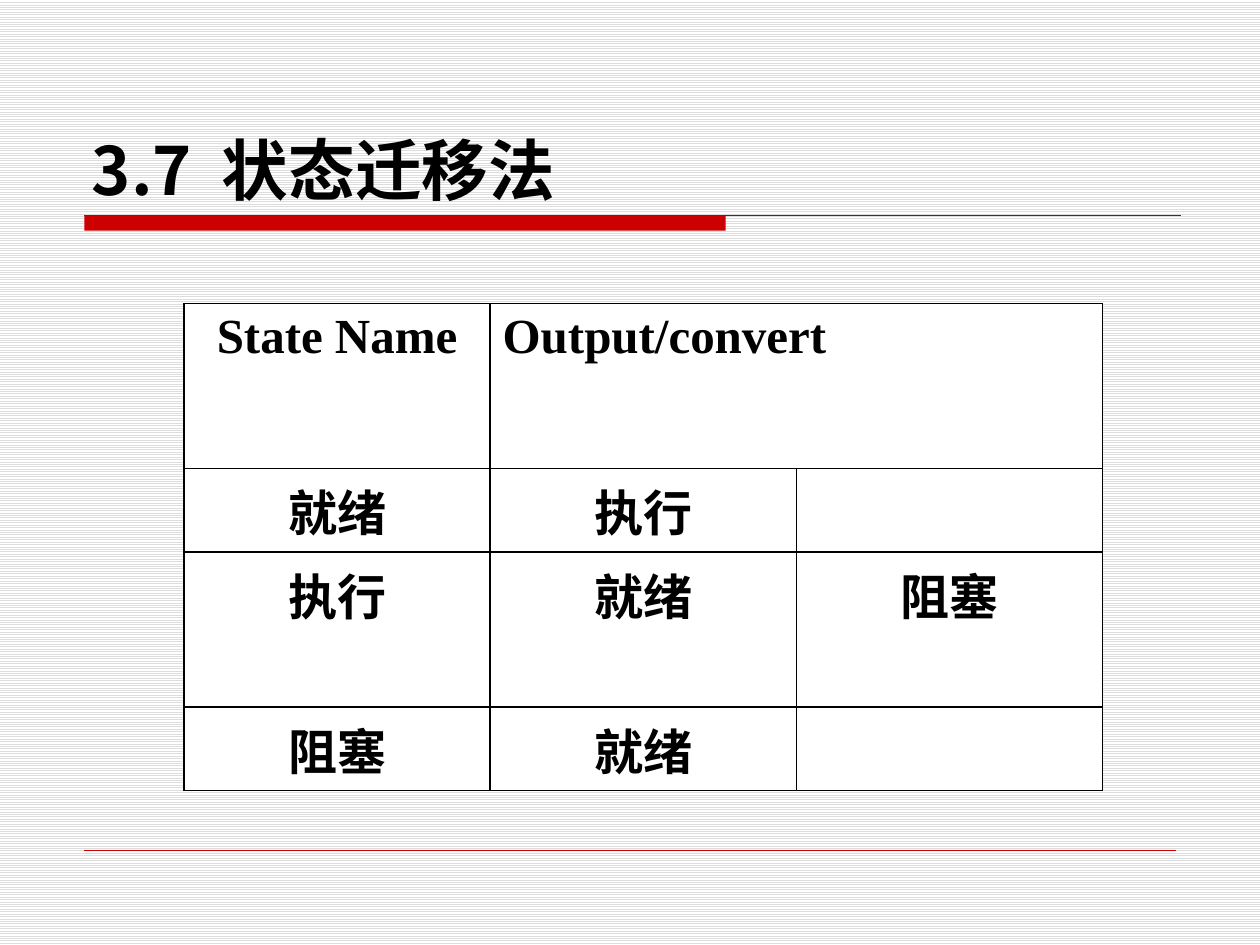
from dataclasses import dataclass

import pptx
import pptx.dml.color
import pptx.enum.dml
import pptx.enum.shapes
import pptx.enum.text
import pptx.oxml
import pptx.oxml.ns
import pptx.util

Inches = pptx.util.Inches
Pt = pptx.util.Pt
RGBColor = pptx.dml.color.RGBColor
Align = pptx.enum.text.PP_ALIGN

BLACK = RGBColor(0x00, 0x00, 0x00)
WHITE = RGBColor(0xFF, 0xFF, 0xFF)
RED = RGBColor(0xCC, 0x00, 0x00)
STRIPE = RGBColor(0xDD, 0xDD, 0xDD)
RULE_GREY = RGBColor(0x33, 0x33, 0x33)

SANS = "Noto Sans CJK SC"
SERIF = "Times New Roman"
NS = pptx.oxml.ns.nsdecls("a")

COLUMN_WIDTH = 2.43
ROW_HEIGHTS = (1.31, 0.66, 1.23, 0.66)


@dataclass
class Rule:
    left: float
    right: float
    y: float
    color: RGBColor
    width: float


@dataclass
class Cell:
    row: int
    col: int
    text: str
    font: str = SANS
    align: Align = Align.CENTER


RULES = (
    Rule(0.67, 9.37, 1.71, RULE_GREY, 0.75),
    Rule(0.67, 9.33, 6.75, RED, 0.25),
)

CELLS = (
    Cell(0, 0, "State Name", SERIF),
    Cell(0, 1, "Output/convert", SERIF, Align.LEFT),
    Cell(1, 0, "就绪"),
    Cell(1, 1, "执行"),
    Cell(2, 0, "执行"),
    Cell(2, 1, "就绪"),
    Cell(2, 2, "阻塞"),
    Cell(3, 0, "阻塞"),
    Cell(3, 1, "就绪"),
)


def add_run(p, text: str, font: str, size: float):
    r = p.add_run()
    r.text = text
    r.font.size = Pt(size)
    r.font.bold = True
    r.font.color.rgb = BLACK
    r.font.name = font
    r.font._element.append(pptx.oxml.parse_xml(f'<a:ea {NS} typeface="{font}"/>'))
    return r


def add_rule(s, rule: Rule) -> None:
    sp = s.shapes.add_connector(
        pptx.enum.shapes.MSO_CONNECTOR.STRAIGHT,
        Inches(rule.left), Inches(rule.y), Inches(rule.right), Inches(rule.y),
    )
    sp.line.color.rgb = rule.color
    sp.line.width = Pt(rule.width)
    sp._element.spPr.append(pptx.oxml.parse_xml(f"<a:effectLst {NS}/>"))


def add_bar(s) -> None:
    sp = s.shapes.add_shape(
        pptx.enum.shapes.MSO_SHAPE.RECTANGLE,
        Inches(0.67), Inches(1.71), Inches(5.09), Inches(0.12),
    )
    sp.shadow.inherit = False
    sp.fill.solid()
    sp.fill.fore_color.rgb = RED
    sp.line.fill.background()


def add_title(s) -> None:
    sp = s.shapes.add_textbox(Inches(0.63), Inches(0.33), Inches(8.75), Inches(1.33))
    tf = sp.text_frame
    tf.word_wrap = True
    tf.vertical_anchor = pptx.enum.text.MSO_ANCHOR.BOTTOM
    tf.margin_bottom = Inches(0)
    p = tf.paragraphs[0]
    add_run(p, "3.7", SANS, 38)
    gap = add_run(p, " ", SANS, 38)
    gap.font._element.set("spc", "850")
    add_run(p, "状态迁移法", SANS, 38)


def format_cell(cell) -> None:
    tcPr = cell._tc.get_or_add_tcPr()
    for side in ("lnL", "lnR", "lnT", "lnB"):
        tcPr.append(pptx.oxml.parse_xml(
            f'<a:{side} {NS} w="{Pt(1)}"><a:solidFill>'
            f'<a:srgbClr val="{BLACK}"/></a:solidFill></a:{side}>'
        ))
    cell.fill.solid()
    cell.fill.fore_color.rgb = WHITE


def add_state_table(s) -> None:
    table = s.shapes.add_table(
        len(ROW_HEIGHTS), 3, Inches(1.46), Inches(2.41),
        Inches(3 * COLUMN_WIDTH), Inches(sum(ROW_HEIGHTS)),
    ).table
    table.first_row = False
    table.horz_banding = False
    for column in table.columns:
        column.width = Inches(COLUMN_WIDTH)
    for row, height in zip(table.rows, ROW_HEIGHTS):
        row.height = Inches(height)
        for cell in row.cells:
            format_cell(cell)
    table.cell(0, 1).merge(table.cell(0, 2))
    for item in CELLS:
        p = table.cell(item.row, item.col).text_frame.paragraphs[0]
        p.alignment = item.align
        add_run(p, item.text, item.font, 28)


def main() -> None:
    prs = pptx.Presentation()
    prs.slide_width = Inches(10)
    prs.slide_height = Inches(7.5)
    s = prs.slides.add_slide(prs.slide_layouts[6])
    fill = s.background.fill
    fill.patterned()
    fill.pattern = pptx.enum.dml.MSO_PATTERN.LIGHT_HORIZONTAL
    fill.fore_color.rgb = STRIPE
    fill.back_color.rgb = WHITE
    for rule in RULES:
        add_rule(s, rule)
    add_bar(s)
    add_state_table(s)
    add_title(s)
    prs.save("out.pptx")


if __name__ == "__main__":
    main()
